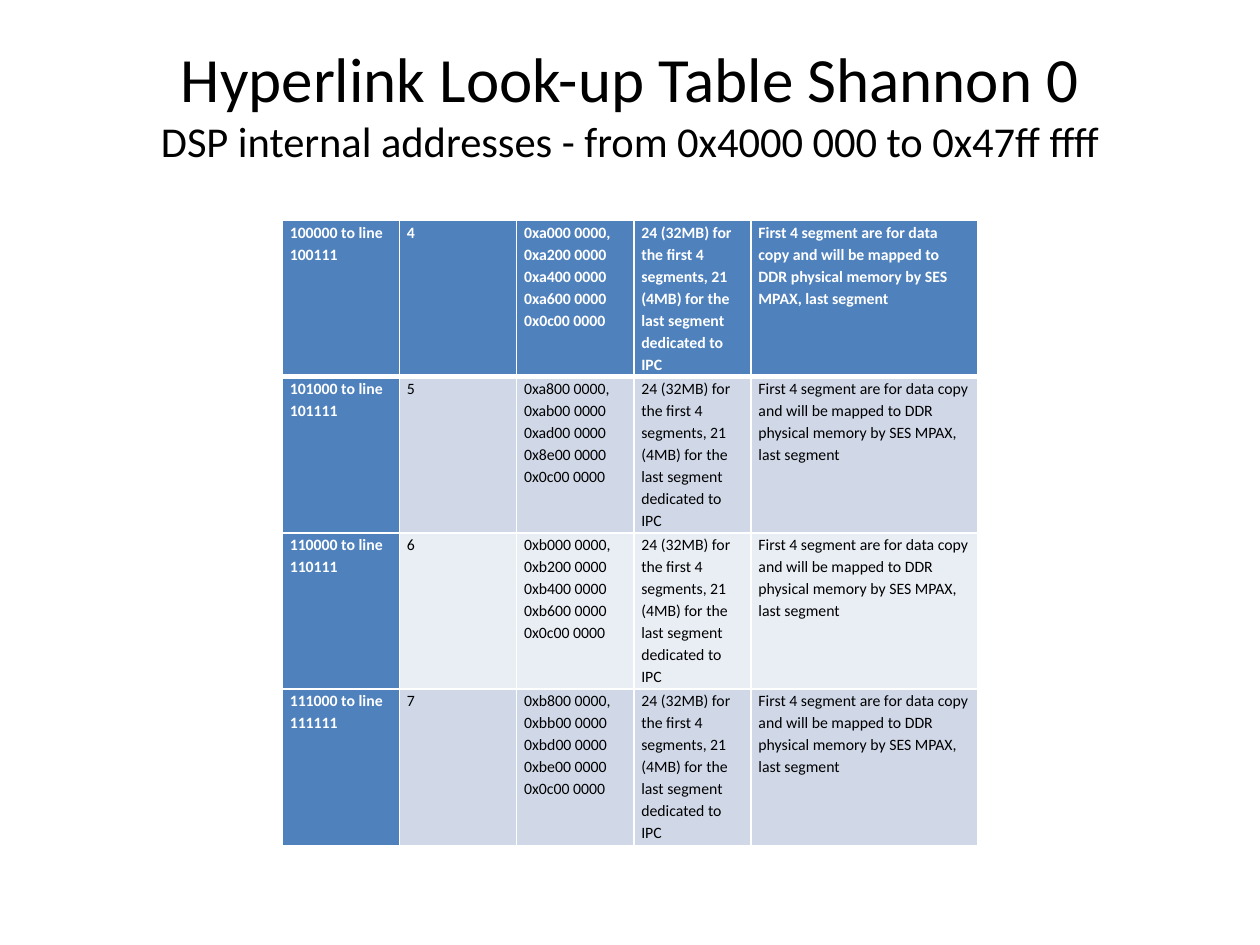
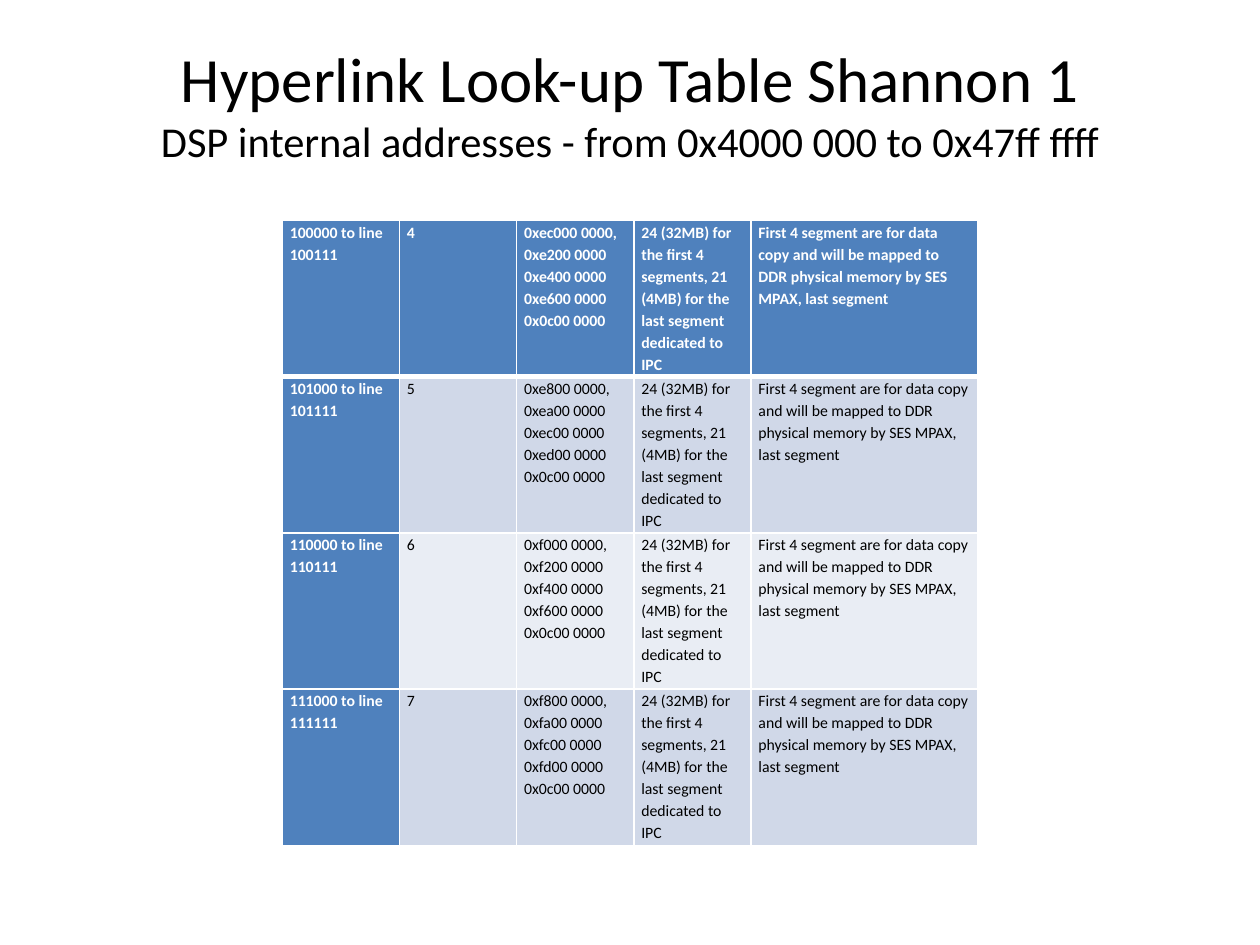
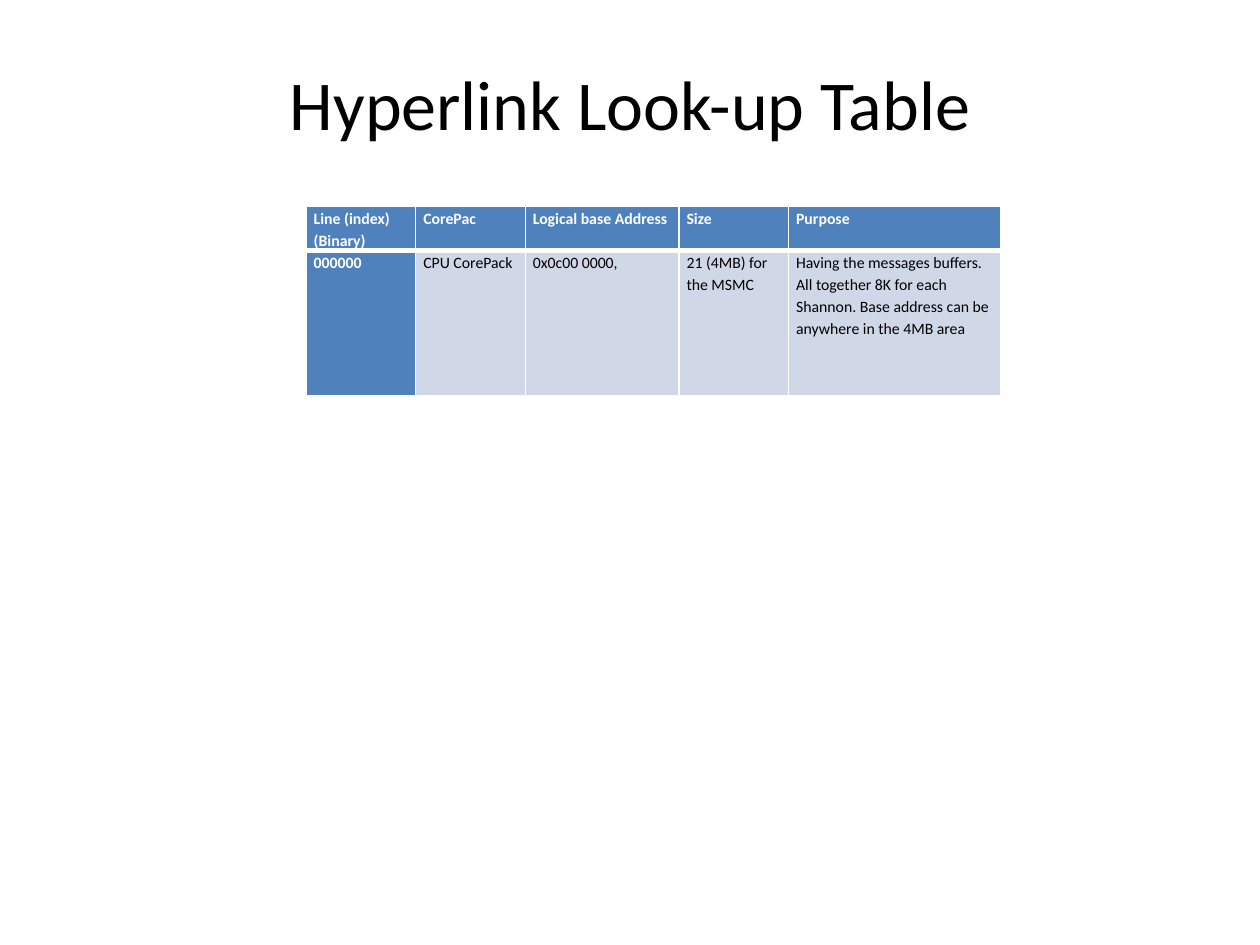
from typing import Any, NamedTuple

from lxml.etree import SubElement
from pptx import Presentation
from pptx.dml.color import RGBColor
from pptx.enum.text import MSO_ANCHOR as Anchor, MSO_AUTO_SIZE as AutoSize, PP_ALIGN as Align
from pptx.oxml.ns import qn
from pptx.util import Inches, Pt

WHITE = RGBColor(0xFF, 0xFF, 0xFF)
BLACK = RGBColor(0x00, 0x00, 0x00)
BLUE = RGBColor(0x4F, 0x81, 0xBD)
BAND_DARK = RGBColor(0xD0, 0xD8, 0xE8)
BAND_LIGHT = RGBColor(0xE9, 0xED, 0xF4)

FONT = "Calibri"
TITLE_ONLY = 5
THIN, THICK = Pt(1), Pt(3)

TITLE_BOX = {"left": Inches(0.5), "top": Inches(0.3), "width": Inches(9), "height": Inches(1.03)}
TITLE_FRAME = {"word_wrap": True, "auto_size": AutoSize.NONE, "vertical_anchor": Anchor.MIDDLE}
CELL_FRAME = {
    "margin_left": Inches(0.06),
    "margin_right": Inches(0.06),
    "margin_top": 0,
    "margin_bottom": 0,
    "vertical_anchor": Anchor.TOP,
}
CELL_FONT = {"name": FONT, "size": Pt(9)}

SUBTITLE = "DSP internal addresses - from 0x4000 000 to 0x47ff ffff"
SEGMENT_SIZE = "24 (32MB) for the first 4 segments, 21 (4MB) for the last segment dedicated to IPC"
SEGMENT_PURPOSE = (
    "First 4 segment are for data copy and will be mapped to DDR physical memory "
    "by SES MPAX, last segment"
)
IPC_BASE = "0x0c00 0000"
FIRST_CORE = 4


class TitleLine(NamedTuple):
    text: str
    size: float


class LookupTable(NamedTuple):
    left: float
    top: float
    columns: list[float]
    heights: list[float]
    rows: list[list[str]]


class LookupPage(NamedTuple):
    title: list[TitleLine]
    table: LookupTable


def apply(target: Any, values: dict[str, Any]) -> None:
    for name, value in values.items():
        setattr(target, name, value)


def draw_title(page: Any, lines: list[TitleLine]) -> None:
    box = page.shapes.title
    apply(box, TITLE_BOX)
    apply(box.text_frame, TITLE_FRAME)
    para = box.text_frame.paragraphs[0]
    para.alignment = Align.CENTER
    for index, line in enumerate(lines):
        if index:
            para.add_line_break()
        span = para.add_run()
        span.text = line.text
        apply(span.font, {"name": FONT, "size": Pt(line.size)})
        span.font.color.rgb = BLACK


def draw_borders(cell: Any, row: int) -> None:
    properties = cell._tc.get_or_add_tcPr()
    widths = {
        "a:lnL": THIN,
        "a:lnR": THIN,
        "a:lnT": THICK if row == 1 else THIN,
        "a:lnB": THICK if row == 0 else THIN,
    }
    for tag, width in widths.items():
        line = SubElement(properties, qn(tag), w=str(width))
        fill = SubElement(line, qn("a:solidFill"))
        SubElement(fill, qn("a:srgbClr"), val=str(WHITE))


def draw_cell(cell: Any, text: str, row: int, column: int) -> None:
    is_header = row == 0 or column == 0
    apply(cell, CELL_FRAME)
    draw_borders(cell, row)
    cell.fill.solid()
    band = BAND_DARK if row % 2 else BAND_LIGHT
    cell.fill.fore_color.rgb = BLUE if is_header else band
    cell.text = text
    for para in cell.text_frame.paragraphs:
        para.line_spacing = 1.15
        for span in para.runs:
            apply(span.font, {**CELL_FONT, "bold": is_header})
            span.font.color.rgb = WHITE if is_header else BLACK


def draw_table(page: Any, spec: LookupTable) -> None:
    grid = page.shapes.add_table(
        len(spec.rows),
        len(spec.columns),
        Inches(spec.left),
        Inches(spec.top),
        Inches(sum(spec.columns)),
        Inches(sum(spec.heights)),
    ).table
    for column, width in zip(grid.columns, spec.columns):
        column.width = Inches(width)
    for row, height in zip(grid.rows, spec.heights):
        row.height = Inches(height)
    for row, texts in enumerate(spec.rows):
        for column, text in enumerate(texts):
            draw_cell(grid.cell(row, column), text, row, column)


def segment_page(device: int, bases: list[list[str]]) -> LookupPage:
    rows = []
    for core, segments in enumerate(bases, FIRST_CORE):
        first, *others = [f"0x{segment} 0000" for segment in segments]
        addresses = "\n".join([f"{first},", *others, IPC_BASE])
        lines = f"{core:03b}000 to line {core:03b}111"
        rows.append([lines, str(core), addresses, SEGMENT_SIZE, SEGMENT_PURPOSE])
    title = [TitleLine(f"Hyperlink Look-up Table Shannon {device}", 36), TitleLine(SUBTITLE, 24.3)]
    table = LookupTable(2.24, 1.75, [0.93] * 4 + [1.8], [1.24] * len(rows), rows)
    return LookupPage(title, table)


PAGES = [
    segment_page(0, [
        ["a000", "a200", "a400", "a600"],
        ["a800", "ab00", "ad00", "8e00"],
        ["b000", "b200", "b400", "b600"],
        ["b800", "bb00", "bd00", "be00"],
    ]),
    segment_page(1, [
        ["ec000", "e200", "e400", "e600"],
        ["e800", "ea00", "ec00", "ed00"],
        ["f000", "f200", "f400", "f600"],
        ["f800", "fa00", "fc00", "fd00"],
    ]),
    LookupPage(
        [TitleLine("Hyperlink Look-up Table", 40)],
        LookupTable(2.43, 1.64, [0.87, 0.87, 1.22, 0.87, 1.68], [0.33, 1.15], [
            ["Line (index)\n(Binary)", "CorePac", "Logical base Address", "Size", "Purpose"],
            [
                "000000",
                "CPU CorePack",
                f"{IPC_BASE},",
                "21 (4MB) for the MSMC",
                "Having the messages buffers. All together 8K for each Shannon. "
                "Base address can be anywhere in the 4MB area",
            ],
        ]),
    ),
]


def main() -> None:
    deck = Presentation()
    deck.slide_width, deck.slide_height = Inches(10), Inches(7.5)
    for content in PAGES:
        page = deck.slides.add_slide(deck.slide_layouts[TITLE_ONLY])
        draw_title(page, content.title)
        draw_table(page, content.table)
    deck.save("out.pptx")


if __name__ == "__main__":
    main()
